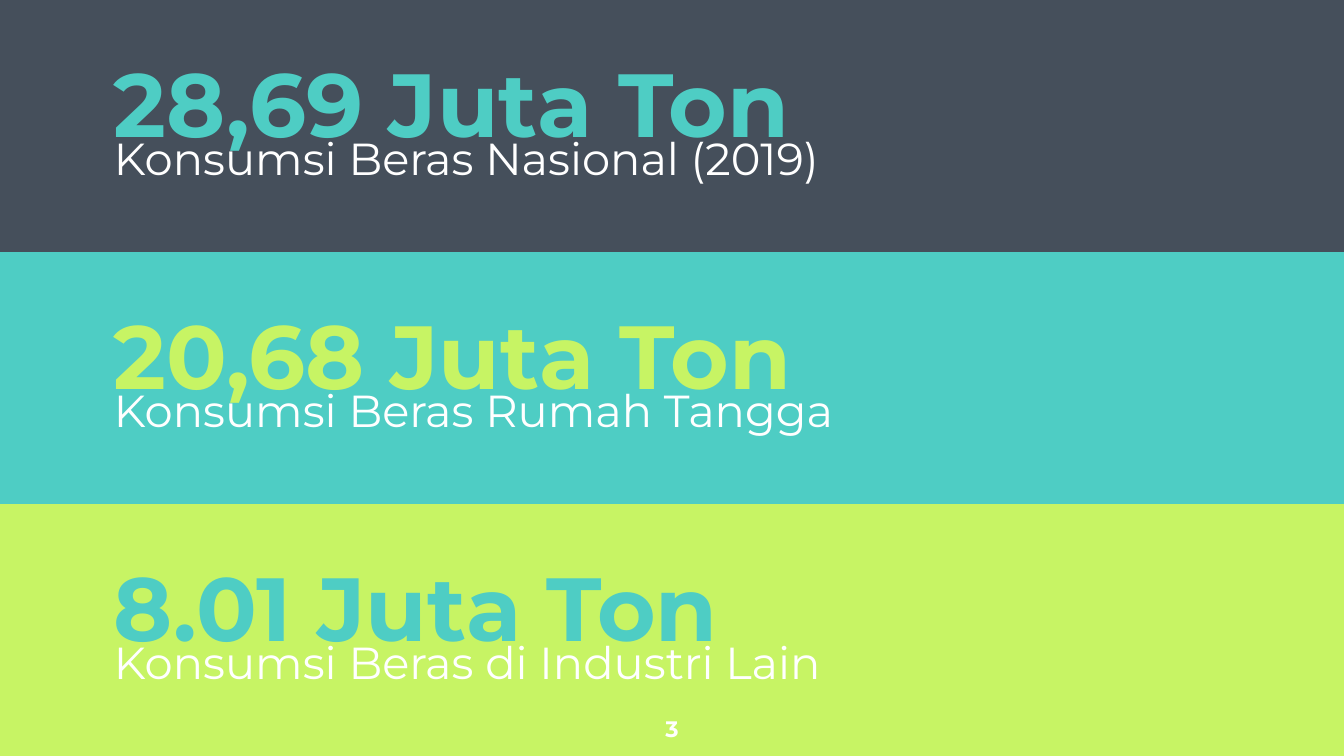
from dataclasses import dataclass

import pptx
import pptx.dml.color
import pptx.enum.shapes
import pptx.enum.text
import pptx.util

SCALE = 914400 / 134.4
WIDE, HIGH = 1344, 756
BAND = HIGH // 3
LEFT, SPAN = 101, 1142
INSET = 13


@dataclass(frozen=True)
class Theme:
    font: str = "Montserrat"
    slate: str = "454F5B"
    teal: str = "4ECDC4"
    lime: str = "C7F464"
    white: str = "FFFFFF"
    large: int = 48
    medium: int = 24
    small: int = 12


@dataclass(frozen=True)
class Box:
    left: int
    top: int
    width: int
    height: int


@dataclass(frozen=True)
class Fact:
    value: str
    label: str
    color: str


THEME = Theme()
FACTS = [
    Fact("28,69 Juta Ton", "Konsumsi Beras Nasional (2019)", THEME.teal),
    Fact("20,68 Juta Ton", "Konsumsi Beras Rumah Tangga", THEME.lime),
    Fact("8.01 Juta Ton", "Konsumsi Beras di Industri Lain", THEME.teal),
]


def px(value: int) -> int:
    return round(value * SCALE)


def place(box: Box) -> list[int]:
    return [px(side) for side in (box.left, box.top, box.width, box.height)]


def rgb(color: str) -> pptx.dml.color.RGBColor:
    return pptx.dml.color.RGBColor.from_string(color)


def add_band(slide, box: Box, color: str) -> None:
    band = slide.shapes.add_shape(pptx.enum.shapes.MSO_SHAPE.RECTANGLE, *place(box))
    band.shadow.inherit = False
    band.fill.solid()
    band.fill.fore_color.rgb = rgb(color)
    band.line.fill.background()


def add_text(slide, box: Box, text: str, size: int, color: str, bold: bool = False,
             anchor=pptx.enum.text.MSO_ANCHOR.TOP,
             align=pptx.enum.text.PP_ALIGN.LEFT, before: int = 0) -> None:
    frame = slide.shapes.add_textbox(*place(box)).text_frame
    frame.word_wrap = True
    frame.vertical_anchor = anchor
    frame.margin_left = frame.margin_right = px(INSET)
    frame.margin_top = frame.margin_bottom = px(INSET)
    line = frame.paragraphs[0]
    line.text = text
    line.alignment = align
    line.space_before = pptx.util.Pt(before)
    line.font.name = THEME.font
    line.font.size = pptx.util.Pt(size)
    line.font.bold = bold
    line.font.color.rgb = rgb(color)


def add_fact(slide, fact: Fact, top: int) -> None:
    add_text(slide, Box(LEFT, top + 36, SPAN, 132), fact.value, THEME.large,
             fact.color, bold=True, anchor=pptx.enum.text.MSO_ANCHOR.BOTTOM)
    add_text(slide, Box(LEFT, top + 118, SPAN, 69), fact.label, THEME.medium,
             THEME.white, before=6)


def main() -> None:
    deck = pptx.Presentation()
    deck.slide_width, deck.slide_height = px(WIDE), px(HIGH)
    slide = deck.slides.add_slide(deck.slide_layouts[6])
    slide.background.fill.solid()
    slide.background.fill.fore_color.rgb = rgb(THEME.lime)
    for row, color in enumerate((THEME.slate, THEME.teal)):
        add_band(slide, Box(0, row * BAND, WIDE, BAND), color)
    for row, fact in enumerate(FACTS):
        add_fact(slide, fact, row * BAND)
    add_text(slide, Box(632, 702, 80, 46), "3", THEME.small, THEME.white,
             bold=True, align=pptx.enum.text.PP_ALIGN.CENTER)
    deck.save("out.pptx")


if __name__ == "__main__":
    main()
